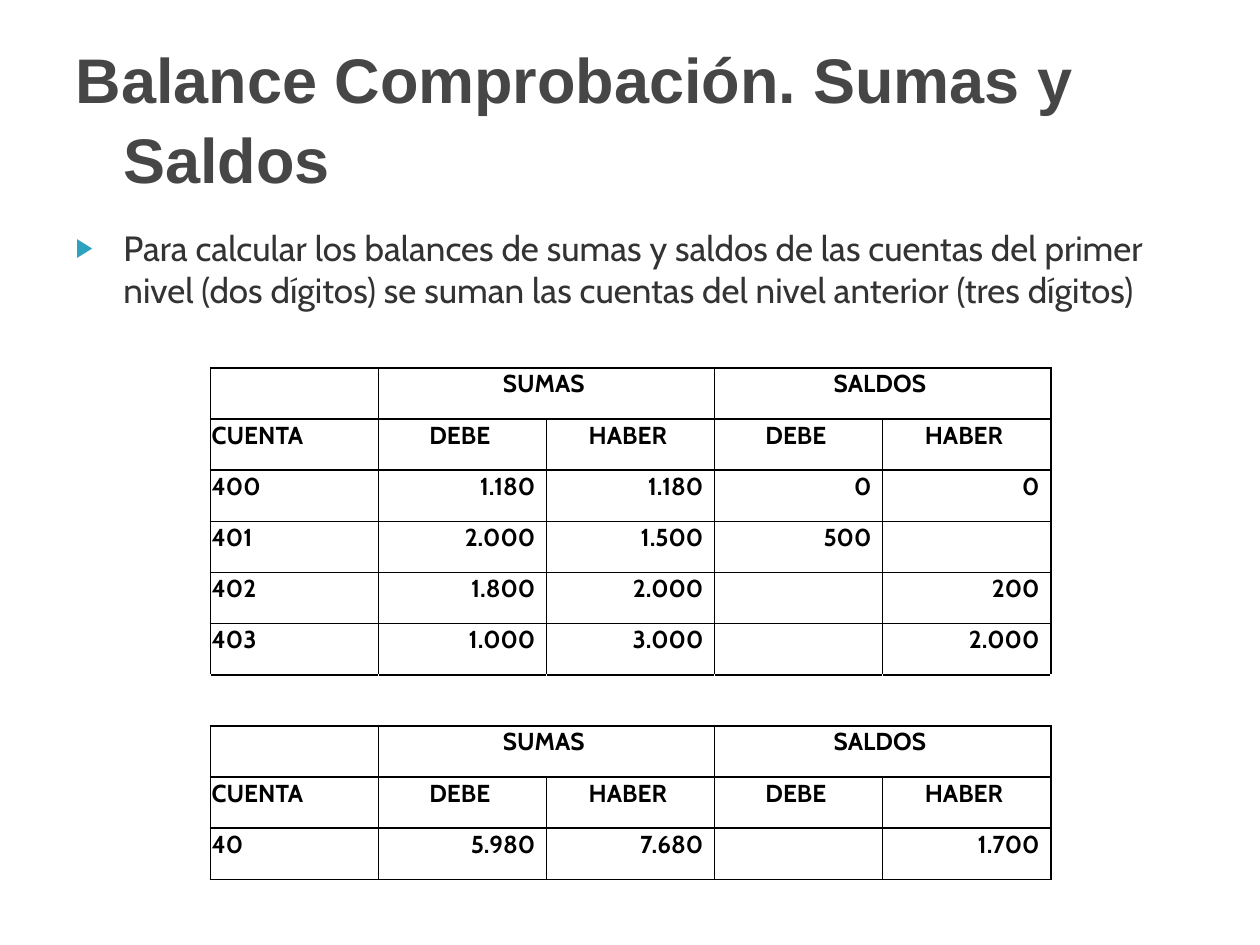
from dataclasses import dataclass

from lxml.etree import SubElement
from pptx import Presentation
from pptx.dml.color import RGBColor
from pptx.enum.text import MSO_ANCHOR, MSO_AUTO_SIZE, PP_ALIGN
from pptx.oxml.ns import qn
from pptx.util import Inches, Pt


@dataclass(frozen=True)
class Theme:
    heading_font: str = "Arial"
    text_font: str = "Cabin"
    heading: str = "464646"
    text: str = "333333"
    bullet: str = "2DA2BF"
    ink: str = "000000"
    paper: str = "FFFFFF"
    heading_size: int = 36
    text_size: int = 20
    cell_size: int = 14
    border_width: int = 1
    band_opacity: int = 20


THEME = Theme()
HEADING = "Balance Comprobación. Sumas y Saldos"
EXPLANATION = (
    "Para calcular los balances de sumas y saldos de las cuentas del primer "
    "nivel (dos dígitos) se suman las cuentas del nivel anterior (tres dígitos)"
)
GROUPS = ["", "SUMAS ", "", "SALDOS ", ""]
LABELS = ["CUENTA", "DEBE ", "HABER ", "DEBE ", "HABER "]
THREE_DIGIT_ACCOUNTS = [
    ["400", "1.180", "1.180", "0", "0"],
    ["401", "2.000", "1.500", "500", ""],
    ["402", "1.800", "2.000", "", "200"],
    ["403", "1.000", "3.000", "", "2.000"],
]
TWO_DIGIT_ACCOUNTS = [["40", "5.980", "7.680", "", "1.700"]]
SEPARATOR = [""] * 5
BALANCE = [
    GROUPS, LABELS, *THREE_DIGIT_ACCOUNTS, SEPARATOR,
    GROUPS, LABELS, *TWO_DIGIT_ACCOUNTS,
]


def set_values(target, values):
    for name, value in values.items():
        setattr(target, name, value)


def style_font(font, family, size, color, bold):
    set_values(font, {"name": family, "size": Pt(size), "bold": bold})
    font.color.rgb = RGBColor.from_string(color)


def place_text(placeholder, box, text, anchor):
    """Fill a placeholder with one hanging paragraph and return that paragraph."""
    set_values(placeholder, dict(zip(("left", "top", "width", "height"), box)))
    frame = placeholder.text_frame
    set_values(frame, {
        "text": text,
        "word_wrap": True,
        "auto_size": MSO_AUTO_SIZE.NONE,
        "vertical_anchor": anchor,
    })
    paragraph = frame.paragraphs[0]
    set_values(paragraph, {"alignment": PP_ALIGN.LEFT, "space_before": Pt(0)})
    properties = paragraph._p.get_or_add_pPr()
    properties.set("marL", str(Inches(0.38)))
    properties.set("indent", str(Inches(-0.38)))
    return paragraph


def add_heading(slide, box):
    paragraph = place_text(slide.shapes.title, box, HEADING, MSO_ANCHOR.MIDDLE)
    paragraph.line_spacing = 1.05
    style_font(paragraph.runs[0].font, THEME.heading_font, THEME.heading_size,
               THEME.heading, True)


def add_explanation(slide, box):
    paragraph = place_text(slide.placeholders[1], box, EXPLANATION, MSO_ANCHOR.TOP)
    properties = paragraph._p.get_or_add_pPr()
    color = SubElement(properties, qn("a:buClr"))
    SubElement(color, qn("a:srgbClr"), val=THEME.bullet)
    SubElement(properties, qn("a:buSzPct"), val="75000")
    SubElement(properties, qn("a:buFont"), typeface=THEME.heading_font)
    SubElement(properties, qn("a:buChar"), char="▶")
    style_font(paragraph.runs[0].font, THEME.text_font, THEME.text_size,
               THEME.text, False)


def draw_borders(cell, side_color):
    properties = cell._tc.get_or_add_tcPr()
    sides = {"lnL": side_color, "lnR": side_color, "lnT": THEME.ink, "lnB": THEME.ink}
    for side, color in sides.items():
        line = SubElement(properties, qn(f"a:{side}"), w=str(Pt(THEME.border_width)))
        fill = SubElement(line, qn("a:solidFill"))
        SubElement(fill, qn("a:srgbClr"), val=color)


def fill_cell(cell, banded):
    if not banded:
        cell.fill.background()
        return
    cell.fill.solid()
    cell.fill.fore_color.rgb = RGBColor.from_string(THEME.paper)
    color = cell._tc.tcPr.find(f"{qn('a:solidFill')}/{qn('a:srgbClr')}")
    SubElement(color, qn("a:alpha"), val=str(THEME.band_opacity * 1000))


def write_cell(cell, text, alignment):
    right = 0.09 if alignment == PP_ALIGN.RIGHT else 0.01
    set_values(cell, {
        "text": text,
        "margin_left": Inches(0.01),
        "margin_top": Inches(0.01),
        "margin_right": Inches(right),
        "margin_bottom": 0,
    })
    paragraph = cell.text_frame.paragraphs[0]
    paragraph.alignment = alignment
    for font in [paragraph.font, *(run.font for run in paragraph.runs)]:
        style_font(font, THEME.text_font, THEME.cell_size, THEME.ink, True)


def add_balance(slide, box):
    table = slide.shapes.add_table(len(BALANCE), len(LABELS), *box).table
    set_values(table, {"first_row": False, "horz_banding": False})
    for row, values in enumerate(BALANCE):
        if values is GROUPS:
            for first in (1, 3):
                table.cell(row, first).merge(table.cell(row, first + 1))
        for column, text in enumerate(values):
            if column == 0:
                alignment = PP_ALIGN.LEFT
            elif values is GROUPS or values is LABELS:
                alignment = PP_ALIGN.CENTER
            else:
                alignment = PP_ALIGN.RIGHT
            cell = table.cell(row, column)
            write_cell(cell, text, alignment)
            draw_borders(cell, THEME.paper if values is SEPARATOR else THEME.ink)
            fill_cell(cell, banded=row % 2 == 1)


def main():
    presentation = Presentation()
    set_values(presentation, {"slide_width": Inches(10), "slide_height": Inches(7.5)})
    slide = presentation.slides.add_slide(presentation.slide_layouts[1])
    regions = {
        add_explanation: (0.5, 1.75, 9, 4.95),
        add_heading: (0.5, 0.3, 9, 1.25),
        add_balance: (1.67, 2.92, 6.67, 4.06),
    }
    for add_region, box in regions.items():
        add_region(slide, [Inches(length) for length in box])
    presentation.save("out.pptx")


if __name__ == "__main__":
    main()
